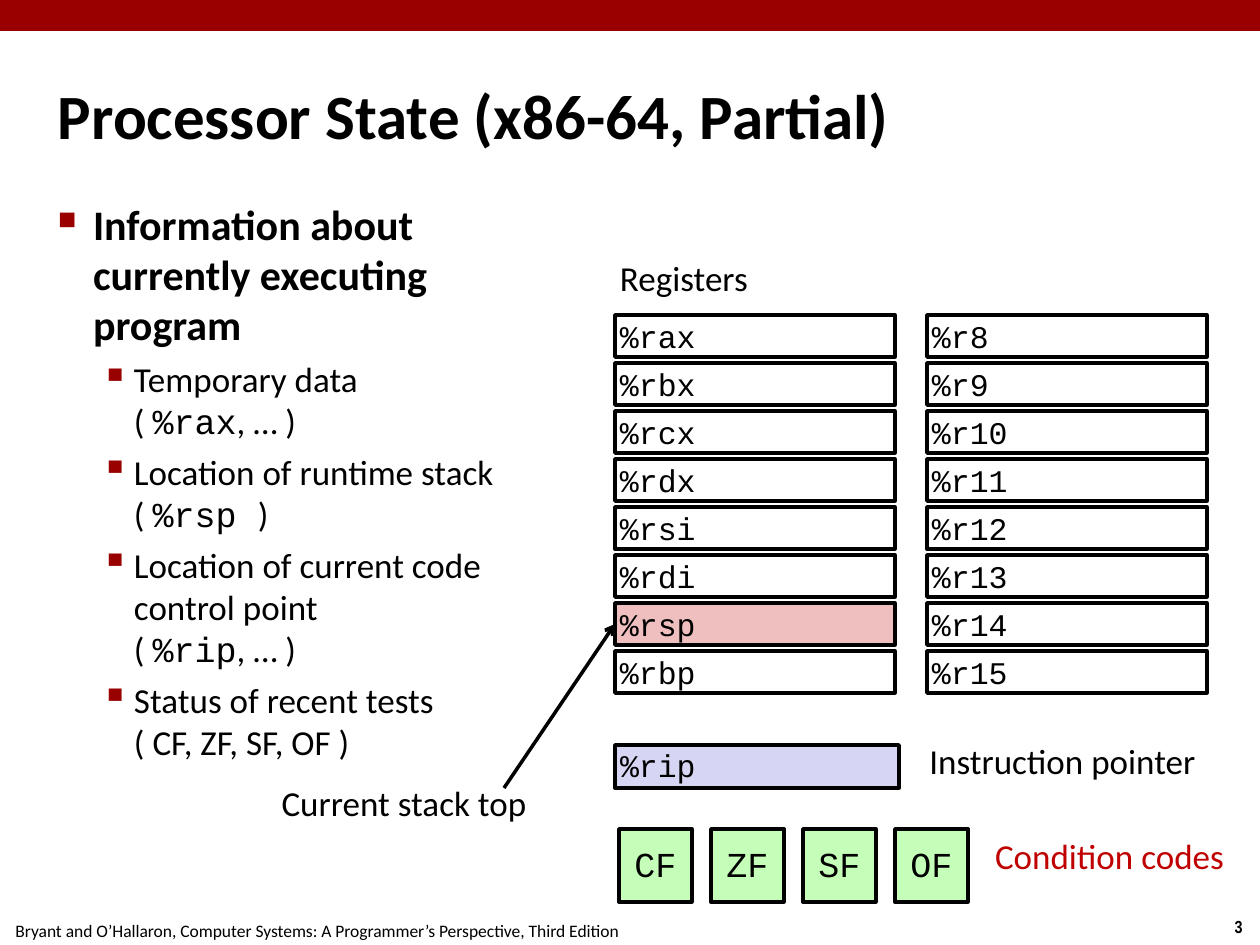
from dataclasses import dataclass
from typing import Optional

from lxml.etree import SubElement
from pptx import Presentation
from pptx.dml.color import RGBColor
from pptx.enum.shapes import MSO_CONNECTOR as Connector, MSO_SHAPE as Preset
from pptx.enum.text import MSO_ANCHOR as Anchor, PP_ALIGN as Align
from pptx.oxml.ns import qn
from pptx.util import Emu, Pt

BLACK = RGBColor(0x00, 0x00, 0x00)
WHITE = RGBColor(0xFF, 0xFF, 0xFF)
CRIMSON = RGBColor(0x99, 0x00, 0x00)
RED = RGBColor(0xC0, 0x00, 0x00)
PINK = RGBColor(0xEF, 0xBF, 0xBF)
LAVENDER = RGBColor(0xD6, 0xD6, 0xF4)
GREEN = RGBColor(0xC5, 0xFE, 0xB8)
SANS, MONO, NARROW = "Calibri", "Courier New", "Arial Narrow"
PX_PER_INCH = 126
INSET = 5
ROW_TOP, ROW_PITCH = 315, 48
FLAG_LEFT, FLAG_PITCH = 619, 92
REGISTER_COLUMNS = {
    615: ("%rax", "%rbx", "%rcx", "%rdx", "%rsi", "%rdi", "%rsp", "%rbp"),
    927: ("%r8", "%r9", "%r10", "%r11", "%r12", "%r13", "%r14", "%r15"),
}


@dataclass(frozen=True)
class Label:
    text: str
    left: int
    top: int
    width: int
    height: int
    align: Align = Align.CENTER
    size: int = 20
    font: str = SANS
    bold: bool = False
    color: RGBColor = BLACK
    inset: tuple[int, int] = (INSET, INSET)
    wrap: bool = False


@dataclass(frozen=True)
class Cell:
    text: str
    left: int
    top: int
    width: int
    height: int
    fill: Optional[RGBColor] = None
    align: Align = Align.LEFT
    size: int = 18
    spacing: float = 1.0


@dataclass(frozen=True)
class Bullet:
    spans: tuple[tuple[str, str], ...]
    level: int = 1


@dataclass(frozen=True)
class BulletStyle:
    mark: str
    percent: int
    margin: int
    hanging: int
    before: int
    size: int
    bold: bool


BULLET_STYLES = (
    BulletStyle("■", 60, 35, 35, 6, 24, True),
    BulletStyle("▪", 110, 76, 33, 5, 20, False),
)
BULLETS = (
    Bullet((("Information about currently executing program", SANS),), 0),
    Bullet((("Temporary data\n( ", SANS), ("%rax", MONO), (", … )", SANS))),
    Bullet((("Location of runtime stack\n( ", SANS), ("%rsp ", MONO), (")", SANS))),
    Bullet((("Location of current code control point\n( ", SANS), ("%rip", MONO), (", … )", SANS))),
    Bullet((("Status of recent tests\n( CF, ZF, SF, OF )", SANS),)),
)
LABELS = (
    Label("3", 1217, 910, 43, 34, size=10, font=NARROW, bold=True, inset=(13, 6)),
    Label("Bryant and O’Hallaron, Computer Systems: A Programmer’s Perspective, Third Edition",
          -3, 914, 640, 34, size=10, inset=(13, 6)),
    Label("Registers", 615, 252, 141, 53, Align.LEFT),
    Label("Current stack top", 273, 777, 262, 53),
    Label("Instruction pointer", 920, 735, 285, 53),
    Label("Condition codes", 990, 829, 248, 62, Align.LEFT, color=RED, wrap=True),
)


def px(length: int) -> Emu:
    return Emu(round(length * 914400 / PX_PER_INCH))


def place(left: int, top: int, width: int, height: int) -> tuple[Emu, ...]:
    return px(left), px(top), px(width), px(height)


def add_text(para, text: str, *, font: str = SANS, size: int = 20,
             bold: bool = False, color: RGBColor = BLACK) -> None:
    for index, line in enumerate(text.split("\n")):
        if index:
            para.add_line_break()
        span = para.add_run()
        span.text = line
        span.font.name = font
        span.font.size = Pt(size)
        span.font.bold = bold
        span.font.color.rgb = color


def set_frame(frame, *, inset: tuple[int, int] = (INSET, INSET),
              anchor: Anchor = Anchor.TOP, wrap: bool = True) -> None:
    frame.margin_left = frame.margin_right = px(inset[0])
    frame.margin_top = frame.margin_bottom = px(inset[1])
    frame.vertical_anchor = anchor
    frame.word_wrap = wrap


def add_label(page, label: Label) -> None:
    box = page.shapes.add_textbox(*place(label.left, label.top, label.width, label.height))
    set_frame(box.text_frame, inset=label.inset, wrap=label.wrap)
    para = box.text_frame.paragraphs[0]
    para.alignment = label.align
    add_text(para, label.text, font=label.font, size=label.size, bold=label.bold, color=label.color)


def add_cell(page, cell: Cell) -> None:
    box = page.shapes.add_shape(Preset.RECTANGLE, *place(cell.left, cell.top, cell.width, cell.height))
    box.shadow.inherit = False
    if cell.fill is None:
        box.fill.background()
    else:
        box.fill.solid()
        box.fill.fore_color.rgb = cell.fill
    box.line.color.rgb = BLACK
    box.line.width = Pt(2)
    set_frame(box.text_frame, anchor=Anchor.MIDDLE)
    para = box.text_frame.paragraphs[0]
    para.alignment = cell.align
    para.line_spacing = cell.spacing
    add_text(para, cell.text, font=MONO, size=cell.size)


def add_bullets(page, bullets: tuple[Bullet, ...]) -> None:
    box = page.shapes.add_textbox(*place(53, 193, 460, 748))
    frame = box.text_frame
    set_frame(frame)
    for index, bullet in enumerate(bullets):
        style = BULLET_STYLES[bullet.level]
        para = frame.add_paragraph() if index else frame.paragraphs[0]
        para.level = bullet.level
        para.space_before = Pt(style.before)
        props = para._p.get_or_add_pPr()
        props.set("marL", str(px(style.margin)))
        props.set("indent", str(-px(style.hanging)))
        SubElement(SubElement(props, qn("a:buClr")), qn("a:srgbClr"), val=str(CRIMSON))
        SubElement(props, qn("a:buSzPct"), val=str(style.percent * 1000))
        SubElement(props, qn("a:buChar"), char=style.mark)
        for text, font in bullet.spans:
            add_text(para, text, font=font, size=style.size, bold=style.bold)


def add_arrow(page, start: tuple[int, int], end: tuple[int, int]) -> None:
    arrow = page.shapes.add_connector(Connector.STRAIGHT, *map(px, start + end))
    arrow.line.color.rgb = BLACK
    arrow.line.width = Pt(2)
    SubElement(arrow.line._get_or_add_ln(), qn("a:tailEnd"), type="arrow")
    SubElement(arrow._element.spPr, qn("a:effectLst"))


def set_title(page, text: str) -> None:
    title = page.shapes.title
    title.left, title.top, title.width, title.height = place(53, 35, 1155, 158)
    set_frame(title.text_frame, anchor=Anchor.MIDDLE)
    para = title.text_frame.paragraphs[0]
    para.alignment = Align.LEFT
    add_text(para, text, size=36, bold=True)


def main() -> None:
    deck = Presentation()
    deck.slide_width, deck.slide_height = px(1260), px(945)
    page = deck.slides.add_slide(deck.slide_layouts[5])
    page.background.fill.solid()
    page.background.fill.fore_color.rgb = WHITE
    banner = page.shapes.add_shape(Preset.RECTANGLE, *place(0, 0, 1261, 31))
    banner.shadow.inherit = False
    banner.fill.solid()
    banner.fill.fore_color.rgb = CRIMSON
    banner.line.fill.background()
    set_title(page, "Processor State (x86-64, Partial)")
    add_bullets(page, BULLETS)
    for label in LABELS:
        add_label(page, label)
    add_cell(page, Cell("%rip", 615, 745, 284, 43, LAVENDER, spacing=0.95))
    for index, flag in enumerate(("CF", "ZF", "SF", "OF")):
        add_cell(page, Cell(flag, FLAG_LEFT + index * FLAG_PITCH, 829, 73, 73, GREEN, Align.CENTER, 20, 0.95))
    for left, names in REGISTER_COLUMNS.items():
        for row, name in enumerate(names):
            fill = PINK if name == "%rsp" else None
            add_cell(page, Cell(name, left, ROW_TOP + row * ROW_PITCH, 280, 42, fill))
    add_arrow(page, (504, 788), (615, 624))
    deck.save("out.pptx")


if __name__ == "__main__":
    main()
